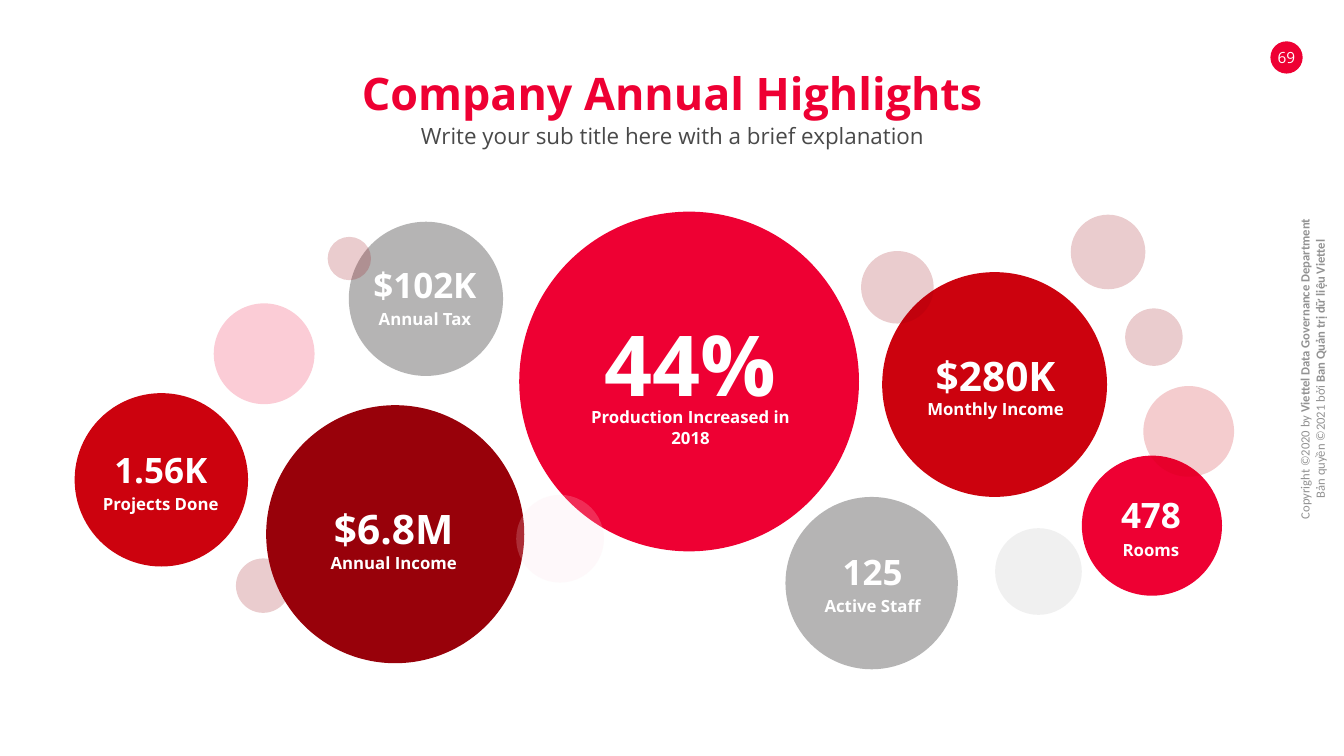
"""Build the company annual highlights slide with its bubbles of key figures."""
from dataclasses import dataclass

from lxml.etree import SubElement
from pptx import Presentation
from pptx.dml.color import RGBColor
from pptx.enum.shapes import MSO_SHAPE
from pptx.enum.text import MSO_AUTO_SIZE, PP_ALIGN
from pptx.oxml.ns import qn
from pptx.shapes.autoshape import Shape
from pptx.slide import Slide
from pptx.text.text import Font, TextFrame
from pptx.util import Emu, Inches, Pt

COLUMNS, ROWS = 13.33, 7.5
SLIDE_WIDTH, SLIDE_HEIGHT = Inches(COLUMNS), Inches(ROWS)

BRIGHT, RED, DARK = "EE0033", "CC020E", "98010A"
GREY, BLUSH, WHITE = "B5B4B4", "FDE0E6", "FFFFFF"
SUBTITLE_COLOUR, COPYRIGHT_COLOUR = "494949", "929292"
HEADING_FONT, COPYRIGHT_FONT = "Open Sans", "Calibri"
HAZE_PERCENT = 20


@dataclass(frozen=True)
class Box:
    left: float
    top: float
    width: float
    height: float


@dataclass(frozen=True)
class Bubble:
    left: float
    top: float
    diameter: float
    colour: str
    opacity: int = 100


@dataclass(frozen=True)
class Tier:
    figure_size: int
    width: float
    figure_height: float
    caption_drop: float


@dataclass(frozen=True)
class Highlight:
    figure: str
    caption: str
    tier: Tier
    text_left: float
    text_top: float
    bubble: Bubble


@dataclass(frozen=True)
class Label:
    text: str
    box: Box
    size: int
    colour: str
    bold: bool = False


LARGE = Tier(60, 2.26, 1.01, 0.94)
MEDIUM = Tier(29, 1.51, 0.49, 0.48)
SMALL = Tier(25, 1.45, 0.42, 0.45)
CAPTION_SIZE, CAPTION_HEIGHT = 12, 0.2

HIGHLIGHTS = [
    Highlight("44%", "Production Increased in 2018", LARGE, 5.72, 3.1,
              Bubble(5.15, 2.1, 3.37, BRIGHT)),
    Highlight("$280K", "Monthly Income", MEDIUM, 9.12, 3.48,
              Bubble(8.75, 2.7, 2.23, RED)),
    Highlight("$6.8M", "Annual Income", MEDIUM, 3.15, 5, Bubble(2.64, 4.02, 2.56, DARK)),
    Highlight("$102K", "Annual Tax", SMALL, 3.49, 2.61, Bubble(3.46, 2.2, 1.53, GREY)),
    Highlight("125", "Active Staff", SMALL, 7.93, 5.46, Bubble(7.79, 4.93, 1.71, GREY)),
    Highlight("478", "Rooms", SMALL, 10.69, 4.9, Bubble(10.73, 4.52, 1.39, BRIGHT)),
    Highlight("1.56K", "Projects Done", SMALL, 0.87, 4.45, Bubble(0.74, 3.9, 1.72, RED)),
]

HAZE = [
    Bubble(left, top, diameter, colour, HAZE_PERCENT)
    for left, top, diameter, colour in [
        (11.16, 3.06, 0.57, DARK),
        (11.34, 3.83, 0.9, RED),
        (9.87, 5.24, 0.86, GREY),
        (5.12, 4.91, 0.87, BLUSH),
        (2.12, 3.01, 1, BRIGHT),
        (10.62, 2.13, 0.74, DARK),
        (3.25, 2.35, 0.43, DARK),
        (2.34, 5.54, 0.54, DARK),
        (8.54, 2.49, 0.72, DARK),
    ]
]

PAGE_BADGE = Bubble(12.6, 0.41, 0.32, BRIGHT)
LABELS = [
    Label("69", Box(12.56, 0.48, 0.4, 0.19), 11, WHITE),
    Label("Company Annual Highlights", Box(0.73, 0.65, 11.88, 0.54), 32, BRIGHT, True),
    Label("Write your sub title here with a brief explanation",
          Box(0.73, 1.21, 11.88, 0.27), 16, SUBTITLE_COLOUR),
]

COPYRIGHT_BOX = Box(10.71, 3.46, 4.61, 0.4)
COPYRIGHT_LINES = [
    ("Copyright ©2020 by ", "Viettel Data Governance Department"),
    ("Bản quyền ©2021 bởi ", "Ban Quản trị dữ liệu Viettel"),
]


def colour_of(hex_code: str) -> RGBColor:
    return RGBColor.from_string(hex_code)


def across(columns: float) -> Emu:
    return Emu(round(SLIDE_WIDTH * columns / COLUMNS))


def down(rows: float) -> Emu:
    return Emu(round(SLIDE_HEIGHT * rows / ROWS))


def format_font(font: Font, name: str, size: int, colour: str, bold: bool) -> None:
    font.name, font.size, font.bold = name, Pt(size), bold
    font.color.rgb = colour_of(colour)


def draw_bubble(slide: Slide, bubble: Bubble) -> None:
    shape = slide.shapes.add_shape(
        MSO_SHAPE.OVAL, across(bubble.left), down(bubble.top),
        across(bubble.diameter), down(bubble.diameter))
    shape.shadow.inherit = False
    shape.line.fill.background()
    shape.fill.solid()
    shape.fill.fore_color.rgb = colour_of(bubble.colour)
    if bubble.opacity < 100:
        colour_element = shape.fill._xPr.find(f".//{qn('a:srgbClr')}")
        SubElement(colour_element, qn("a:alpha"), val=str(bubble.opacity * 1000))


def add_box(slide: Slide, box: Box) -> Shape:
    shape = slide.shapes.add_textbox(
        across(box.left), down(box.top), across(box.width), down(box.height))
    shape.text_frame.word_wrap = True
    shape.text_frame.auto_size = MSO_AUTO_SIZE.SHAPE_TO_FIT_TEXT
    return shape


def remove_margins(frame: TextFrame) -> None:
    frame.margin_left = frame.margin_right = 0
    frame.margin_top = frame.margin_bottom = 0


def draw_label(slide: Slide, label: Label) -> None:
    frame = add_box(slide, label.box).text_frame
    remove_margins(frame)
    frame.text = label.text
    paragraph = frame.paragraphs[0]
    paragraph.alignment = PP_ALIGN.CENTER
    format_font(paragraph.runs[0].font, HEADING_FONT, label.size, label.colour, label.bold)


def draw_highlight_text(slide: Slide, highlight: Highlight) -> None:
    tier, left, top = highlight.tier, highlight.text_left, highlight.text_top
    figure_box = Box(left, top, tier.width, tier.figure_height)
    caption_box = Box(left, top + tier.caption_drop, tier.width, CAPTION_HEIGHT)
    draw_label(slide, Label(highlight.figure, figure_box, tier.figure_size, WHITE, True))
    draw_label(slide, Label(highlight.caption, caption_box, CAPTION_SIZE, WHITE, True))


def draw_copyright(slide: Slide) -> None:
    shape = add_box(slide, COPYRIGHT_BOX)
    shape.rotation = 270
    frame = shape.text_frame
    frame.text = "\n".join(notice for notice, _ in COPYRIGHT_LINES)
    for paragraph, (_, owner) in zip(frame.paragraphs, COPYRIGHT_LINES):
        paragraph.alignment = PP_ALIGN.CENTER
        paragraph.add_run().text = owner
        for run, bold in zip(paragraph.runs, (False, True)):
            format_font(run.font, COPYRIGHT_FONT, 9, COPYRIGHT_COLOUR, bold)


def main() -> None:
    presentation = Presentation()
    presentation.slide_width, presentation.slide_height = SLIDE_WIDTH, SLIDE_HEIGHT
    slide = presentation.slides.add_slide(presentation.slide_layouts[6])
    draw_copyright(slide)
    for bubble in [PAGE_BADGE, *(highlight.bubble for highlight in HIGHLIGHTS), *HAZE]:
        draw_bubble(slide, bubble)
    for label in LABELS:
        draw_label(slide, label)
    for highlight in HIGHLIGHTS:
        draw_highlight_text(slide, highlight)
    presentation.save("out.pptx")


if __name__ == "__main__":
    main()
